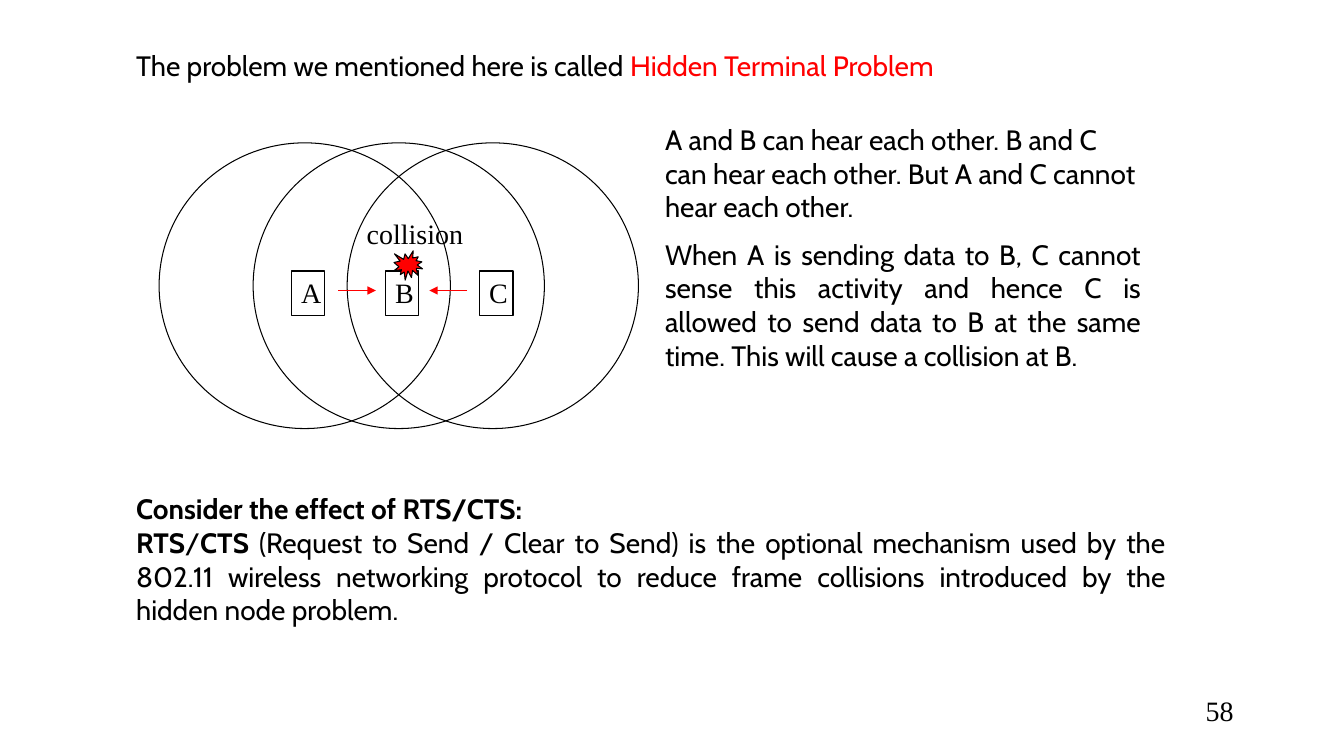
import dataclasses
import typing

import lxml.etree
import pptx
import pptx.dml.color
import pptx.enum.shapes
import pptx.enum.text
import pptx.oxml.ns
import pptx.util

Cm = pptx.util.Cm
Pt = pptx.util.Pt
ALIGN = pptx.enum.text.PP_ALIGN
ANCHOR = pptx.enum.text.MSO_ANCHOR
SHAPE = pptx.enum.shapes.MSO_SHAPE
BLACK = "000000"
RED = "FF0000"
SANS = "Cabin"
SERIF = "Times New Roman"
STATION_PITCH = 2.37


class Box(typing.NamedTuple):
    left: float
    top: float
    width: float
    height: float

    def shifted(self, distance: float) -> "Box":
        return self._replace(left=self.left + distance)

    def lengths(self) -> list[pptx.util.Length]:
        return [Cm(value) for value in self]


class Phrase(typing.NamedTuple):
    text: str
    color: str = BLACK
    bold: bool = False


@dataclasses.dataclass
class Passage:
    phrases: list[Phrase]
    align: ALIGN = ALIGN.JUSTIFY
    space_before: float = 0


@dataclasses.dataclass
class TextBlock:
    box: Box
    passages: list[Passage]
    font: str = SANS
    anchor: ANCHOR = ANCHOR.TOP


class Transmission(typing.NamedTuple):
    start: float
    end: float


def rgb(color: str) -> pptx.dml.color.RGBColor:
    return pptx.dml.color.RGBColor.from_string(color)


def write(frame, passages: list[Passage], font: str) -> None:
    frame.word_wrap = True
    for index, passage in enumerate(passages):
        paragraph = frame.add_paragraph() if index else frame.paragraphs[0]
        paragraph.alignment = passage.align
        paragraph.space_before = Pt(passage.space_before)
        for phrase in passage.phrases:
            run = paragraph.add_run()
            run.text = phrase.text
            run.font.name = font
            run.font.size = Pt(20)
            run.font.bold = phrase.bold
            run.font.color.rgb = rgb(phrase.color)


def draw_text(shapes, block: TextBlock) -> None:
    frame = shapes.add_textbox(*block.box.lengths()).text_frame
    frame.vertical_anchor = block.anchor
    write(frame, block.passages, block.font)


def draw_outline(shapes, kind: SHAPE, box: Box, fill: str | None = None):
    outline = shapes.add_shape(kind, *box.lengths())
    outline.shadow.inherit = False
    outline.line.color.rgb = rgb(BLACK)
    outline.line.width = Pt(0.75)
    if fill:
        outline.fill.solid()
        outline.fill.fore_color.rgb = rgb(fill)
    else:
        outline.fill.background()
    return outline


def draw_station(shapes, name: str, offset: float) -> None:
    draw_outline(shapes, SHAPE.OVAL, Box(4.01, 3.6, 7.34, 7.2).shifted(offset))
    station = draw_outline(shapes, SHAPE.RECTANGLE, Box(7.34, 6.83, 0.85, 1.13).shifted(offset))
    station.text_frame.vertical_anchor = ANCHOR.TOP
    write(station.text_frame, [Passage([Phrase(name)], ALIGN.CENTER)], SERIF)


def draw_transmission(shapes, transmission: Transmission) -> None:
    height = Cm(7.32)
    arrow = shapes.add_connector(
        pptx.enum.shapes.MSO_CONNECTOR.STRAIGHT,
        Cm(transmission.start), height, Cm(transmission.end), height,
    )
    arrow.line.color.rgb = rgb(RED)
    arrow.line.width = Pt(0.75)
    qn = pptx.oxml.ns.qn
    lxml.etree.SubElement(arrow.line._get_or_add_ln(), qn("a:tailEnd"), type="triangle")
    lxml.etree.SubElement(arrow._element.spPr, qn("a:effectLst"))


PROSE = [
    TextBlock(Box(24.28, 17.35, 7.06, 1.27), [Passage([Phrase("58")], ALIGN.RIGHT)], SERIF),
    TextBlock(
        Box(3.18, 0.64, 25.6, 2.0),
        [Passage([
            Phrase("The problem we mentioned here is called "),
            Phrase("Hidden Terminal Problem", RED),
        ])],
        anchor=ANCHOR.MIDDLE,
    ),
    TextBlock(
        Box(3.18, 12.27, 26.46, 3.68),
        [
            Passage([Phrase("Consider the effect of RTS/CTS:", bold=True)]),
            Passage([
                Phrase("RTS", bold=True),
                Phrase("/"),
                Phrase("CTS", bold=True),
                Phrase(
                    " (Request to Send / Clear to Send) is the optional mechanism used by "
                    "the 802.11 wireless networking protocol to reduce frame collisions "
                    "introduced by the hidden node problem."
                ),
            ]),
        ],
    ),
    TextBlock(
        Box(16.51, 2.96, 12.5, 6.68),
        [
            Passage([Phrase(
                "A and B can hear each other. B and C can hear each other. "
                "But A and C cannot hear each other."
            )], ALIGN.LEFT),
            Passage([Phrase(
                "When A is sending data to B, C cannot sense this activity and hence C is "
                "allowed to send data to B at the same time. "
                "This will cause a collision at B."
            )], space_before=10),
        ],
    ),
]
COLLISION_LABEL = TextBlock(
    Box(8.99, 5.33, 3.07, 1.13), [Passage([Phrase("collision")], ALIGN.LEFT)], SERIF
)
TRANSMISSIONS = [Transmission(8.52, 9.47), Transmission(11.77, 10.82)]


def main() -> None:
    presentation = pptx.Presentation()
    presentation.slide_width = Cm(33.87)
    presentation.slide_height = Cm(19.05)
    slide = presentation.slides.add_slide(presentation.slide_layouts[6])
    for block in PROSE:
        draw_text(slide.shapes, block)

    radio_ranges = slide.shapes.add_group_shape().shapes
    for index, name in enumerate("ABC"):
        draw_station(radio_ranges, name, index * STATION_PITCH)
    for transmission in TRANSMISSIONS:
        draw_transmission(radio_ranges, transmission)
    draw_outline(radio_ranges, SHAPE.EXPLOSION1, Box(9.93, 6.32, 0.72, 0.74), RED)
    draw_text(radio_ranges, COLLISION_LABEL)
    presentation.save("out.pptx")


if __name__ == "__main__":
    main()
